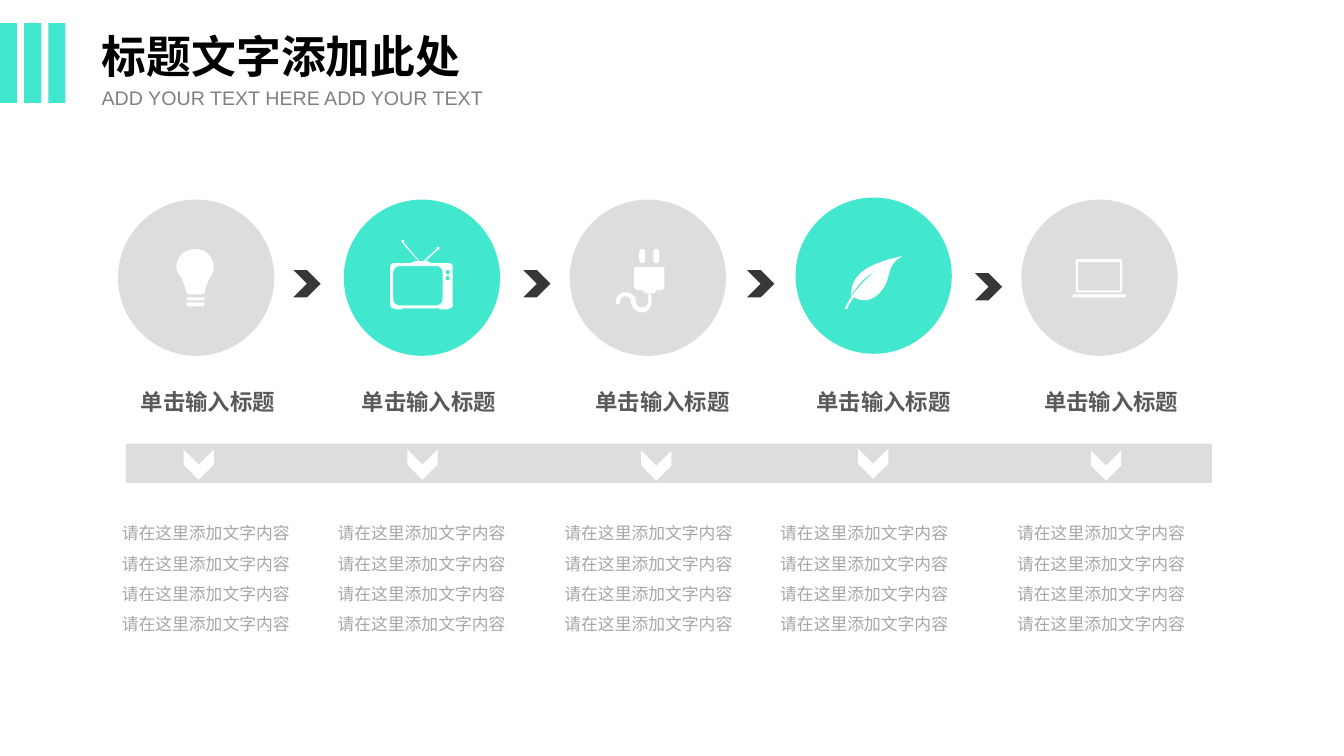
import pptx
import pptx.util
import pptx.dml.color
import pptx.enum.shapes
import pptx.enum.text
import pptx.oxml.ns
import lxml.etree

Inches = pptx.util.Inches
MSO = pptx.enum.shapes.MSO_SHAPE

theme = {
    "mint": "42E8CE", "silver": "DDDDDD", "dark": "373737", "white": "FFFFFF",
    "title": ("Arial", 32, "000000", True),
    "subtitle": ("Arial", 14, "808080", False),
    "label": ("Noto Sans CJK SC", 16, "595959", True),
    "body": ("Calibri", 12, "A6A6A6", False),
}


def paint(sp, color):
    sp.shadow.inherit = False
    sp.fill.solid()
    sp.fill.fore_color.rgb = pptx.dml.color.RGBColor.from_string(theme[color])
    sp.line.fill.background()
    return sp


def write(sp, text, style, box):
    sp.left, sp.top, sp.width, sp.height = [Inches(v) for v in box]
    font, size, color, bold = theme[style]
    tf = sp.text_frame
    tf.word_wrap = True
    p = tf.paragraphs[0]
    p.alignment = pptx.enum.text.PP_ALIGN.LEFT
    r = p.add_run()
    r.text = text
    r.font.name, r.font.size, r.font.bold = font, pptx.util.Pt(size), bold
    r.font.color.rgb = pptx.dml.color.RGBColor.from_string(color)
    ea = lxml.etree.SubElement(r.font._element, pptx.oxml.ns.qn("a:ea"))
    ea.set("typeface", font)
    return p


prs = pptx.Presentation()
prs.slide_width, prs.slide_height = Inches(13.33), Inches(7.5)
s = prs.slides.add_slide(prs.slide_layouts[5])
shapes = s.shapes

title = shapes.title
write(title, "标题文字添加此处", "title", (0.91, 0.23, 5, 0.64))
title.text_frame.vertical_anchor = pptx.enum.text.MSO_ANCHOR.MIDDLE
write(shapes.add_textbox(0, 0, 0, 0), "ADD YOUR TEXT HERE ADD YOUR TEXT", "subtitle",
      (0.91, 0.8, 5.19, 0.34))
for i in range(3):
    paint(shapes.add_shape(MSO.RECTANGLE, Inches(0.24 * i), Inches(0.23),
                           Inches(0.17), Inches(0.79)), "mint")

paint(shapes.add_shape(MSO.RECTANGLE, Inches(1.25), Inches(4.4),
                       Inches(10.77), Inches(0.39)), "silver")

steps = [
    (1.98, "silver", 1.3, 1.82, 4.46, 1.11),
    (1.98, "mint", 3.49, 4.04, 4.46, 3.25),
    (1.98, "silver", 5.81, 6.36, 4.47, 5.5),
    (1.96, "mint", 8, 8.51, 4.45, 7.64),
    (1.98, "silver", 10.26, 10.82, 4.47, 9.99),
]
for i, (circle_y, color, label_x, down_x, down_y, body_x) in enumerate(steps):
    paint(shapes.add_shape(MSO.OVAL, Inches(1.17 + 2.24 * i), Inches(circle_y),
                           Inches(1.55), Inches(1.55)), color)
    write(shapes.add_textbox(0, 0, 0, 0), "单击输入标题", "label", (label_x, 3.8, 2.26, 0.37))
    down = paint(shapes.add_shape(MSO.CHEVRON, Inches(down_x), Inches(down_y),
                                  Inches(0.3), Inches(0.3)), "white")
    down.rotation = 90
    p = write(shapes.add_textbox(0, 0, 0, 0), "请在这里添加文字内容" * 4, "body",
              (body_x, 5.04, 2, 0.87))
    p.line_spacing = 1.5
    p.space_before = pptx.util.Pt(2.4)

for x, y in [(2.91, 2.68), (5.19, 2.68), (7.41, 2.68), (9.67, 2.71)]:
    paint(shapes.add_shape(MSO.CHEVRON, Inches(x), Inches(y), Inches(0.27), Inches(0.27)), "dark")

rounded_parts = [
    (1.85, 2.95, 0.18, 0.03), (1.85, 3, 0.18, 0.04),
    (6.34, 2.47, 0.06, 0.14), (6.48, 2.47, 0.06, 0.14),
    (10.64, 2.92, 0.53, 0.03),
]
for box in rounded_parts:
    part = paint(shapes.add_shape(MSO.ROUNDED_RECTANGLE, *[Inches(v) for v in box]), "white")
    part.adjustments[0] = 0.5 if box[0] < 10 else 0.1

bulb = [[(2.12, 2.65), (2.12, 2.55, 2.04, 2.47, 1.94, 2.47), (1.83, 2.47, 1.75, 2.55, 1.75, 2.65),
         (1.75, 2.69, 1.77, 2.71, 1.79, 2.74), (1.82, 2.79, 1.85, 2.88, 1.85, 2.91),
         (1.88, 2.92), (2, 2.92), (2.03, 2.91), (2.03, 2.88, 2.06, 2.79, 2.09, 2.74),
         (2.11, 2.71, 2.12, 2.69, 2.12, 2.65)]]
television = [
    [(4.45, 2.61), (4.28, 2.61), (4.27, 2.61, 4.25, 2.59, 4.22, 2.59), (4.34, 2.48),
     (4.36, 2.48, 4.37, 2.45, 4.35, 2.45), (4.33, 2.45, 4.33, 2.46, 4.33, 2.47),
     (4.2, 2.59), (4.16, 2.59), (4, 2.4), (4.01, 2.39), (4.01, 2.38, 3.98, 2.38, 3.98, 2.39),
     (3.99, 2.41), (4.15, 2.59), (4.12, 2.59), (4.1, 2.6, 4.07, 2.61, 4.07, 2.61), (3.9, 2.61),
     (3.89, 2.61, 3.87, 2.63, 3.87, 2.65), (3.87, 3.02), (3.87, 3.05, 3.89, 3.06, 3.9, 3.06),
     (3.92, 3.06), (3.92, 3.07), (3.99, 3.07), (3.99, 3.06), (4.36, 3.06), (4.36, 3.07),
     (4.45, 3.07), (4.45, 3.06), (4.48, 3.06, 4.49, 3.05, 4.49, 3.02), (4.49, 2.65),
     (4.49, 2.63, 4.48, 2.61, 4.45, 2.61)],
    [(4.39, 2.97), (4.39, 3, 4.36, 3.03, 4.33, 3.03), (3.96, 3.03),
     (3.93, 3.03, 3.9, 3, 3.9, 2.97), (3.9, 2.7), (3.9, 2.67, 3.93, 2.64, 3.96, 2.64),
     (4.33, 2.64), (4.36, 2.64, 4.39, 2.67, 4.39, 2.7)],
]
for knob_y in (2.7, 2.76):
    television.append([(4.42, knob_y), (4.42, knob_y - 0.03, 4.46, knob_y - 0.03, 4.46, knob_y),
                       (4.46, knob_y + 0.03, 4.42, knob_y + 0.03, 4.42, knob_y)])
plug = [[(6.29, 2.65), (6.29, 2.85), (6.29, 2.86, 6.31, 2.88, 6.33, 2.88), (6.38, 2.88),
         (6.38, 2.89, 6.4, 2.91, 6.41, 2.91), (6.48, 2.91), (6.49, 2.91, 6.51, 2.89, 6.51, 2.88),
         (6.55, 2.88), (6.57, 2.88, 6.59, 2.86, 6.59, 2.85), (6.59, 2.65)]]
cord = [[(6.44, 2.91), (6.43, 2.91, 6.43, 2.92, 6.43, 2.94), (6.43, 3),
         (6.43, 3.03, 6.4, 3.05, 6.37, 3.05), (6.33, 3.05, 6.31, 3.03, 6.31, 3),
         (6.31, 2.94, 6.26, 2.9, 6.2, 2.9), (6.15, 2.9, 6.11, 2.94, 6.11, 3),
         (6.11, 3.03, 6.15, 3.03, 6.15, 3), (6.15, 2.97, 6.17, 2.94, 6.2, 2.94),
         (6.24, 2.94, 6.26, 2.97, 6.26, 3), (6.26, 3.05, 6.31, 3.1, 6.37, 3.1),
         (6.42, 3.1, 6.46, 3.05, 6.46, 3), (6.46, 2.94), (6.46, 2.92, 6.45, 2.91, 6.44, 2.91)]]
leaf = [[(8.38, 3.06), (8.38, 3.06, 8.37, 3.07, 8.41, 3.06), (8.4, 3.04, 8.47, 2.95, 8.47, 2.95),
         (8.47, 2.95, 8.61, 3.04, 8.73, 2.9), (8.86, 2.76, 8.77, 2.64, 8.95, 2.54),
         (8.52, 2.63, 8.44, 2.77, 8.44, 2.94), (8.48, 2.86, 8.58, 2.74, 8.68, 2.7),
         (8.52, 2.81, 8.42, 2.97, 8.38, 3.06)]]
screen = [
    [(10.69, 2.57), (11.11, 2.57), (11.12, 2.57, 11.13, 2.58, 11.13, 2.6), (11.13, 2.87),
     (11.13, 2.89, 11.12, 2.9, 11.11, 2.9), (10.69, 2.9), (10.68, 2.9, 10.67, 2.89, 10.67, 2.87),
     (10.67, 2.6), (10.67, 2.58, 10.68, 2.57, 10.69, 2.57)],
    [(10.69, 2.6), (10.69, 2.88), (11.11, 2.88), (11.11, 2.6)],
]

for icon in (bulb, television, plug, cord, leaf, screen):
    builder = None
    for start, *segments in icon:
        x0, y0 = start
        points = []
        for seg in segments:
            if len(seg) == 2:
                points.append(seg)
            else:
                x1, y1, x2, y2, x3, y3 = seg
                for t in [k / 8 for k in range(1, 9)]:
                    a, b, c, d = (1 - t) ** 3, 3 * t * (1 - t) ** 2, 3 * t * t * (1 - t), t ** 3
                    points.append((a * x0 + b * x1 + c * x2 + d * x3,
                                   a * y0 + b * y1 + c * y2 + d * y3))
            x0, y0 = seg[-2:]
        if builder is None:
            builder = shapes.build_freeform(Inches(start[0]), Inches(start[1]))
        else:
            builder.move_to(Inches(start[0]), Inches(start[1]))
        builder.add_line_segments([(Inches(x), Inches(y)) for x, y in points], close=True)
    paint(builder.convert_to_shape(), "white")

prs.save("out.pptx")
